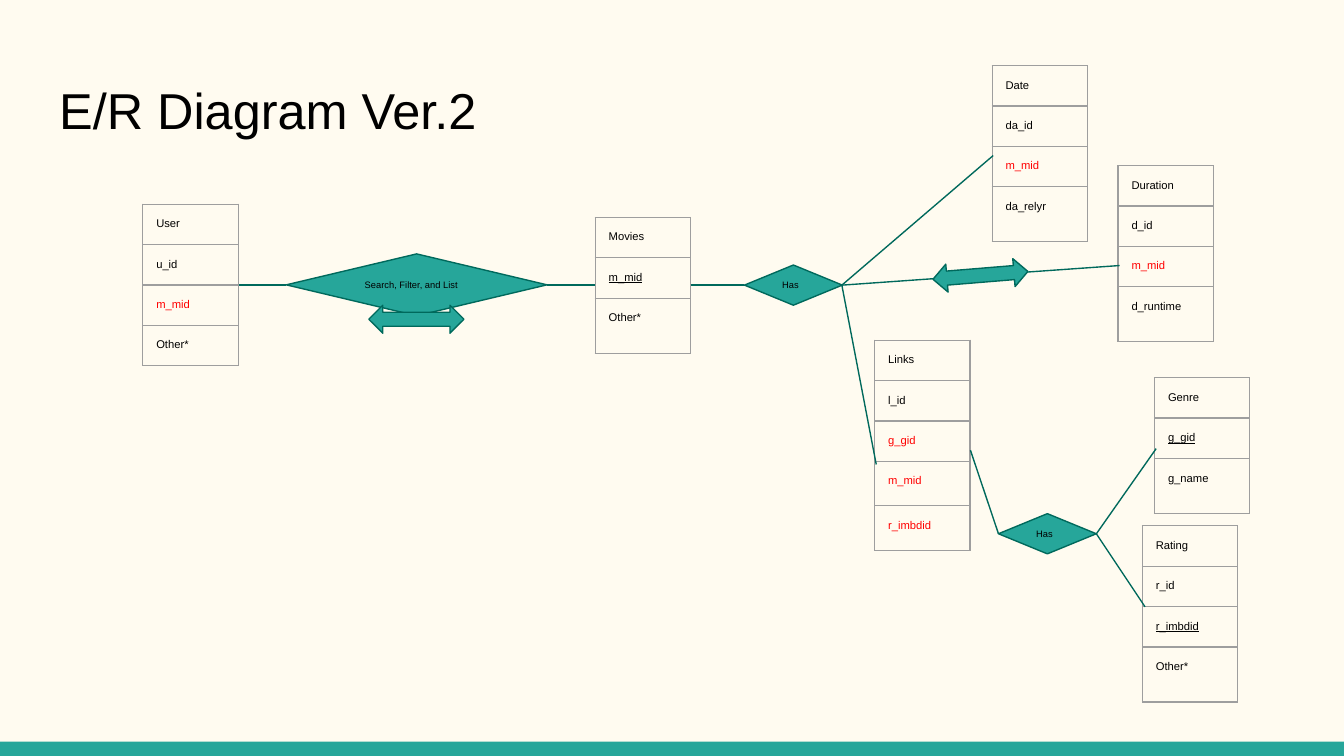
from lxml import etree
from pptx import Presentation
from pptx.dml.color import RGBColor
from pptx.enum.shapes import MSO_CONNECTOR, MSO_SHAPE
from pptx.enum.text import MSO_ANCHOR, PP_ALIGN
from pptx.oxml.ns import qn
from pptx.util import Cm, Pt

RECTANGLE, DIAMOND = MSO_SHAPE.RECTANGLE, MSO_SHAPE.DIAMOND
DOUBLE_ARROW = MSO_SHAPE.LEFT_RIGHT_ARROW
STRAIGHT = MSO_CONNECTOR.STRAIGHT
MIDDLE, LEFT = MSO_ANCHOR.MIDDLE, PP_ALIGN.LEFT

CREAM = RGBColor(0xFF, 0xFB, 0xF0)
TEAL = RGBColor(0x26, 0xA6, 0x9A)
DARK_TEAL = RGBColor(0x00, 0x69, 0x5C)
BLACK = RGBColor(0x00, 0x00, 0x00)
RED = RGBColor(0xFF, 0x00, 0x00)
GREY = RGBColor(0x9E, 0x9E, 0x9E)

FONT = "Arial"
INSET = Pt(7.2)
LINE_WIDTH = Pt(0.75)
COLUMN_WIDTH = 1.8
FRAME_SIDE = 8.33
LOW, ROW, HIGH, LAST = 0.61, 0.76, 0.84, 1.04

PLAIN = {}
PRIMARY = {"underline": True}
FOREIGN = {"color": RED}

# left, top, row heights, fields (all lengths in centimetres)
ENTITIES = [
    (18.75, 1.24, [ROW] * 3 + [LAST],
     [("Date", PLAIN), ("da_id", PLAIN), ("m_mid", FOREIGN), ("da_relyr", PLAIN)]),
    (21.13, 3.13, [ROW] * 3 + [LAST],
     [("Duration", PLAIN), ("d_id", PLAIN), ("m_mid", FOREIGN), ("d_runtime", PLAIN)]),
    (11.25, 4.11, [ROW] * 2 + [LAST],
     [("Movies", PLAIN), ("m_mid", PRIMARY), ("Other*", PLAIN)]),
    (21.82, 7.14, [ROW] * 2 + [LAST],
     [("Genre", PLAIN), ("g_gid", PRIMARY), ("g_name", PLAIN)]),
    (21.59, 9.94, [ROW] * 3 + [LAST],
     [("Rating", PLAIN), ("r_id", PLAIN), ("r_imbdid", PRIMARY), ("Other*", PLAIN)]),
    (16.53, 6.43, [LOW] * 3 + [HIGH] * 2,
     [("Links", PLAIN), ("l_id", PLAIN), ("g_gid", FOREIGN), ("m_mid", FOREIGN),
      ("r_imbdid", FOREIGN)]),
    (2.7, 3.86, [LOW] * 4,
     [("User", PLAIN), ("u_id", PLAIN), ("m_mid", FOREIGN), ("Other*", PLAIN)]),
]

RELATIONSHIPS = [
    ("Has", 14.07, 5.01, 1.85, 0.76),
    ("Has", 18.87, 9.71, 1.85, 0.76),
    ("Search, Filter, and List", 5.41, 4.8, 4.93, 1.17),
]

AXIS = 5.39
MOVIE_HAS = (15.91, AXIS)
LINK_HAS = (20.72, 10.09)
CONNECTIONS = [
    (LINK_HAS, (21.85, 8.48)),
    (LINK_HAS, (21.64, 11.47)),
    ((13.05, AXIS), (14.07, AXIS)),
    (MOVIE_HAS, (18.77, 2.94)),
    (MOVIE_HAS, (21.16, 5.02)),
    (MOVIE_HAS, (16.56, 8.78)),
    ((18.34, 8.51), (18.87, 10.09)),
    ((4.51, AXIS), (5.41, AXIS)),
    ((10.34, AXIS), (11.25, AXIS)),
]

DOUBLE_ARROWS = [(17.63, 4.94, 355.3), (6.97, 5.77, 0)]


def write_text(frame, text, size, color=BLACK, underline=False):
    para = frame.paragraphs[0]
    para.alignment = LEFT
    span = para.add_run()
    span.text = text
    span.font.color.rgb = color
    style = {"name": FONT, "size": Pt(size), "underline": underline}
    for name, value in style.items():
        setattr(span.font, name, value)


def set_insets(holder):
    for side in ("left", "top", "right", "bottom"):
        setattr(holder, f"margin_{side}", INSET)


def add_title(page, text):
    box = page.shapes.add_textbox(Cm(0.87), Cm(1.24), Cm(9.63), Cm(1.7))
    frame = box.text_frame
    frame.word_wrap = True
    set_insets(frame)
    write_text(frame, text, 27)


def add_block(page, kind, left, top, width, height, outlined=True):
    """Add a teal preset shape, with a dark outline if wanted."""
    block = page.shapes.add_shape(kind, Cm(left), Cm(top), Cm(width), Cm(height))
    block.shadow.inherit = False
    block.fill.solid()
    block.fill.fore_color.rgb = TEAL
    if outlined:
        block.line.color.rgb = DARK_TEAL
        block.line.width = LINE_WIDTH
    else:
        block.line.fill.background()
    return block


def add_relationship(page, label, *bounds):
    frame = add_block(page, DIAMOND, *bounds).text_frame
    frame.word_wrap = True
    frame.vertical_anchor = MIDDLE
    set_insets(frame)
    write_text(frame, label, 5)


def add_connection(page, start, end):
    line = page.shapes.add_connector(STRAIGHT, *map(Cm, start + end))
    line.line.color.rgb = DARK_TEAL
    line.line.width = LINE_WIDTH
    etree.SubElement(line._element.spPr, qn("a:effectLst"))


def add_borders(cell):
    properties = cell._tc.get_or_add_tcPr()
    for edge in ("a:lnL", "a:lnR", "a:lnT", "a:lnB"):
        border = etree.SubElement(properties, qn(edge), w=str(LINE_WIDTH))
        fill = etree.SubElement(border, qn("a:solidFill"))
        etree.SubElement(fill, qn("a:srgbClr"), val=str(GREY))


def add_entity(page, left, top, heights, fields):
    """Add a one-column table; its frame keeps a fixed square size."""
    side = Cm(FRAME_SIDE)
    frame = page.shapes.add_table(len(fields), 1, Cm(left), Cm(top), side, side)
    table = frame.table
    table.first_row = table.horz_banding = False
    table.columns[0].width = Cm(COLUMN_WIDTH)
    for row, height, (name, style) in zip(table.rows, heights, fields):
        row.height = Cm(height)
        cell = row.cells[0]
        set_insets(cell)
        add_borders(cell)
        cell.fill.background()
        write_text(cell.text_frame, name, 6, **style)
    frame.width = frame.height = side


def main():
    deck = Presentation()
    deck.slide_width, deck.slide_height = Cm(25.4), Cm(14.29)
    page = deck.slides.add_slide(deck.slide_layouts[6])
    page.background.fill.solid()
    page.background.fill.fore_color.rgb = CREAM

    add_block(page, RECTANGLE, 0, 14.02, 25.4, 0.27, outlined=False)
    add_title(page, "E/R Diagram Ver.2")
    for entity in ENTITIES:
        add_entity(page, *entity)
    for relationship in RELATIONSHIPS:
        add_relationship(page, *relationship)
    for start, end in CONNECTIONS:
        add_connection(page, start, end)
    for left, top, angle in DOUBLE_ARROWS:
        arrow = add_block(page, DOUBLE_ARROW, left, top, 1.8, 0.53)
        arrow.rotation = angle

    deck.save("out.pptx")


if __name__ == "__main__":
    main()
